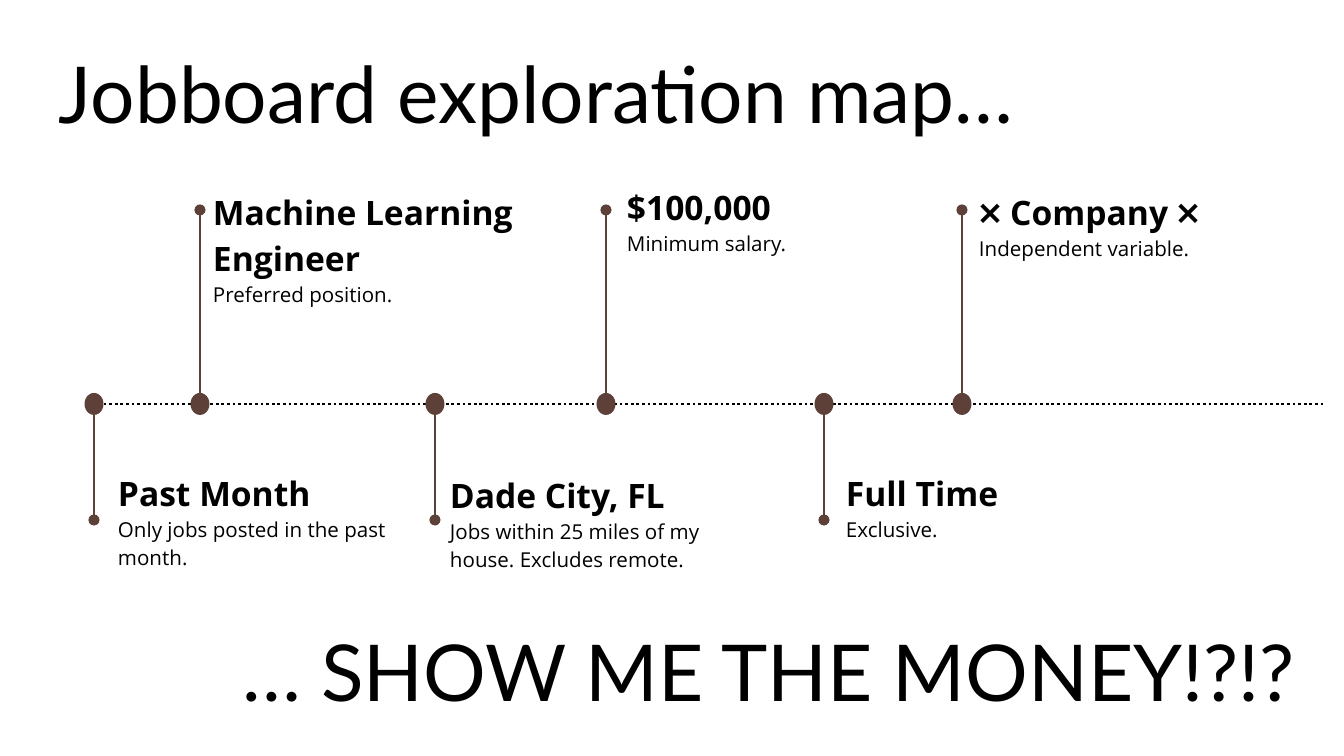
import lxml.etree
import pptx
import pptx.dml.color
import pptx.enum.dml
import pptx.enum.shapes
import pptx.enum.text
import pptx.oxml.ns
import pptx.util

PX = 914400 / 134.4
BLACK = pptx.dml.color.RGBColor(0x00, 0x00, 0x00)
BROWN = pptx.dml.color.RGBColor(0x5D, 0x40, 0x37)
PADDING = 13
AXIS_OFFSET = 194
DOT_WIDTH, DOT_HEIGHT = 19, 22
LEFT = pptx.enum.text.PP_ALIGN.LEFT
RIGHT = pptx.enum.text.PP_ALIGN.RIGHT

MILESTONES = [
    ("Past Month", "Only jobs posted in the past month.", 0, "down", (11, 244, 320, 198)),
    ("Machine Learning Engineer", "Preferred position.", 106, "up", (106, -37, 396, 180)),
    ("Dade City, FL", "Jobs within 25 miles of my house. Excludes remote.", 341, "down", (343, 246, 320, 198)),
    ("$100,000", "Minimum salary.", 512, "up", (520, -42, 320, 180)),
    ("Full Time", "Exclusive.", 730, "down", (739, 244, 320, 180)),
    ("❌ Company ❌", "Independent variable.", 868, "up", (872, -37, 320, 198)),
]


def emu(*lengths):
    """Turn px lengths into EMU."""
    return [pptx.util.Emu(round(length * PX)) for length in lengths]


def write_text(paragraph, text, *, size, font="Open Sans", bold=False, align=LEFT, spacing=1.0):
    """Write one formatted run into a paragraph."""
    paragraph.alignment = align
    paragraph.line_spacing = spacing
    run = paragraph.add_run()
    run.text = text
    run.font.name = font
    run.font.size = pptx.util.Pt(size)
    run.font.bold = bold
    run.font.color.rgb = BLACK


def prepare_frame(shape, anchor):
    """Set wrapping, insets and anchor, and return the text frame."""
    frame = shape.text_frame
    frame.word_wrap = True
    frame.auto_size = pptx.enum.text.MSO_AUTO_SIZE.NONE
    frame.vertical_anchor = anchor
    padding = emu(PADDING)[0]
    frame.margin_left = frame.margin_right = padding
    frame.margin_top = frame.margin_bottom = padding
    return frame


def add_line(slide, start, end, color, width):
    """Add a straight line without a shadow."""
    line = slide.shapes.add_connector(
        pptx.enum.shapes.MSO_CONNECTOR.STRAIGHT, *emu(*start, *end))
    line.line.color.rgb = color
    line.line.width = pptx.util.Pt(width)
    lxml.etree.SubElement(line._element.spPr, pptx.oxml.ns.qn("a:effectLst"))
    return line


def add_headline(shape, box, text, align):
    """Place a large headline in its box."""
    shape.left, shape.top, shape.width, shape.height = emu(*box)
    frame = prepare_frame(shape, pptx.enum.text.MSO_ANCHOR.BOTTOM)
    write_text(frame.paragraphs[0], text, size=42, font="Lato", align=align)


def add_label(slide, box, heading, detail):
    """Add a milestone heading with its detail below."""
    label = slide.shapes.add_textbox(*emu(*box))
    frame = prepare_frame(label, pptx.enum.text.MSO_ANCHOR.TOP)
    write_text(frame.paragraphs[0], heading, size=18, bold=True, spacing=1.15)
    write_text(frame.add_paragraph(), detail, size=11, spacing=1.15)


def add_marker(slide, x, axis_y, end_y):
    """Add a dot on the axis and a stem with a round end."""
    dot = slide.shapes.add_shape(
        pptx.enum.shapes.MSO_SHAPE.OVAL,
        *emu(x - DOT_WIDTH / 2, axis_y - DOT_HEIGHT / 2, DOT_WIDTH, DOT_HEIGHT))
    dot.shadow.inherit = False
    dot.fill.solid()
    dot.fill.fore_color.rgb = BROWN
    dot.line.fill.background()
    stem = add_line(slide, (x, axis_y), (x, end_y), BROWN, 0.75)
    outline = stem.line._get_or_add_ln()
    lxml.etree.SubElement(outline, pptx.oxml.ns.qn("a:tailEnd"), type="oval")


def add_timeline(slide, box, milestones):
    """Add the dotted axis with its milestones above and below."""
    left, top, width, height = box
    axis_y = top + AXIS_OFFSET
    axis = add_line(slide, (left + 4, axis_y), (left + width, axis_y), BLACK, 1.5)
    axis.line.dash_style = pptx.enum.dml.MSO_LINE.ROUND_DOT
    for heading, detail, x, direction, (label_x, label_y, *label_size) in milestones:
        end_y = top if direction == "up" else top + height
        add_marker(slide, left + x, axis_y, end_y)
        add_label(slide, (left + label_x, top + label_y, *label_size), heading, detail)


def main():
    """Build and save the presentation."""
    presentation = pptx.Presentation()
    presentation.slide_width, presentation.slide_height = emu(1344, 756)
    slide = presentation.slides.add_slide(presentation.slide_layouts[5])
    add_headline(slide.shapes.title, (46, 30, 1253, 122), "Jobboard exploration map…", LEFT)
    add_timeline(slide, (94, 210, 1231, 310), MILESTONES)
    closing = slide.shapes.add_textbox(*emu(0, 0, 1, 1))
    add_headline(closing, (55, 608, 1253, 122), "… SHOW ME THE MONEY!?!?", RIGHT)
    presentation.save("out.pptx")


if __name__ == "__main__":
    main()
